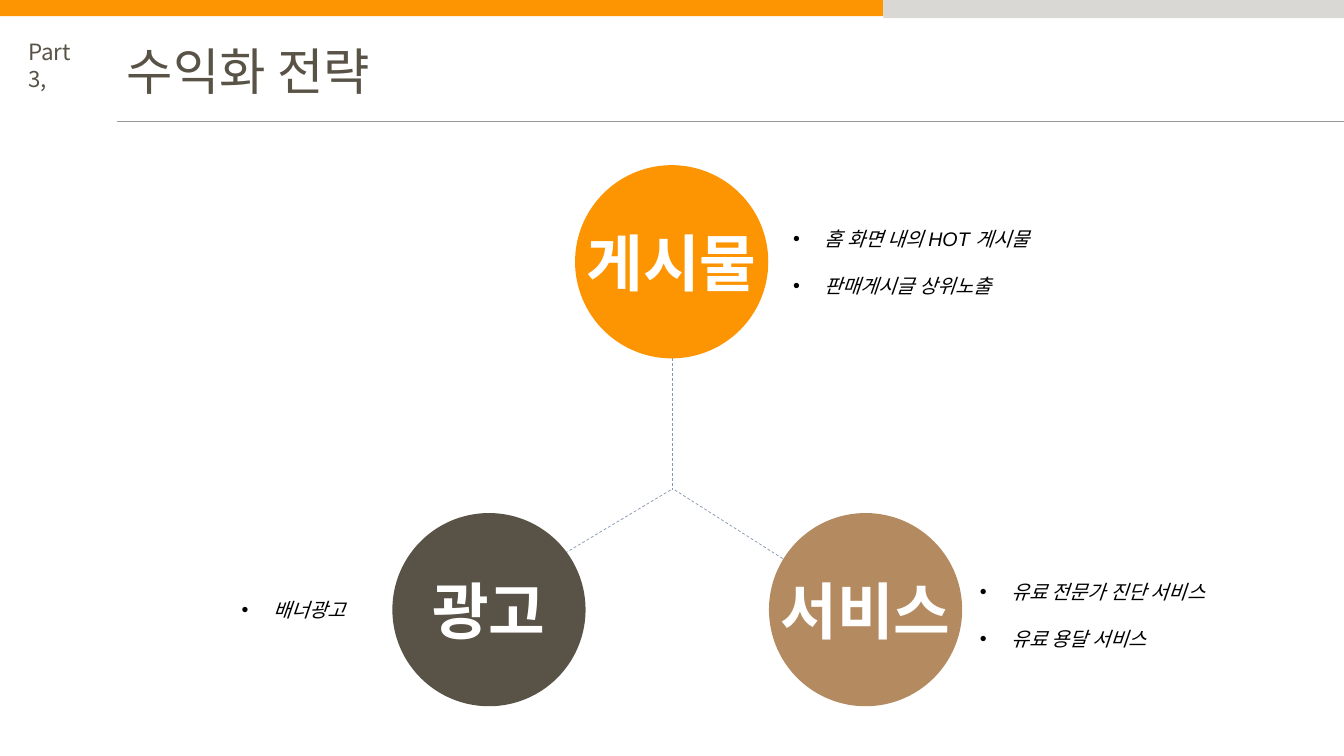
from dataclasses import dataclass
from typing import Any

from lxml import etree
from pptx import Presentation
from pptx.dml.color import RGBColor
from pptx.enum import dml, shapes, text
from pptx.oxml import ns
from pptx.util import Pt

ORANGE, BROWN, TAN = "FD9401", "595347", "B48B61"
LIGHT_GRAY, RULE_GRAY, BLUE_GRAY = "D9D8D5", "999999", "8497B0"
KOREAN_FONT = "Noto Sans CJK KR"
CIRCLE_SIZE = 138
BULLET_INDENT = 22.5


@dataclass
class Bar:
    left: float
    width: float
    height: float
    color: str


@dataclass
class Line:
    start: tuple[float, float]
    end: tuple[float, float]
    color: str
    dashed: bool = True


@dataclass
class Topic:
    name: str
    left: float
    top: float
    color: str
    bullets: list[str]
    bullets_left: float
    bullets_top: float
    bullets_height: float


BARS = [
    Bar(0, 631, 11.5, ORANGE),
    Bar(631, 137, 13, LIGHT_GRAY),
    Bar(768, 192, 13, LIGHT_GRAY),
]
LINES = [
    Line((83.5, 86.5), (960, 86.5), RULE_GRAY, dashed=False),
    Line((480, 256), (480, 350), BLUE_GRAY),
    Line((479, 350), (377, 411), BLUE_GRAY),
    Line((482, 350), (567, 404), BLUE_GRAY),
]
TOPICS = [
    Topic("광고", 280.3, 366.5, BROWN, ["배너광고"], 165.5, 423.5, 24.5),
    Topic("게시물", 410.8, 118, ORANGE,
          ["홈 화면 내의 HOT 게시물", "판매게시글 상위노출"], 559.5, 158.5, 75),
    Topic("서비스", 549.3, 366.5, TAN,
          ["유료 전문가 진단 서비스", "유료 용달 서비스"], 692.8, 411, 58.5),
]


def rgb(color: str) -> RGBColor:
    return RGBColor.from_string(color)


def set_values(target: Any, values: dict[str, Any]) -> None:
    for name, value in values.items():
        setattr(target, name, value)


def write(paragraph: Any, content: str, color: str, font: dict[str, Any]) -> None:
    """Add one run, with the Korean font for East Asian characters."""
    run = paragraph.add_run()
    run.text = content
    set_values(run.font, {"name": KOREAN_FONT, **font})
    run.font.color.rgb = rgb(color)
    east_asian = etree.SubElement(run.font._element, ns.qn("a:ea"))
    east_asian.set("typeface", KOREAN_FONT)


def add_filled(slide: Any, kind: Any, left: float, top: float,
               width: float, height: float, color: str) -> Any:
    shape = slide.shapes.add_shape(kind, Pt(left), Pt(top), Pt(width), Pt(height))
    shape.shadow.inherit = False
    shape.fill.solid()
    shape.fill.fore_color.rgb = rgb(color)
    shape.line.fill.background()
    return shape


def add_line(slide: Any, line: Line) -> None:
    connector = slide.shapes.add_connector(
        shapes.MSO_CONNECTOR.STRAIGHT, *map(Pt, line.start + line.end))
    connector.line.color.rgb = rgb(line.color)
    connector.line.width = Pt(0.5)
    if line.dashed:
        connector.line.dash_style = dml.MSO_LINE.DASH
    etree.SubElement(connector._element.spPr, ns.qn("a:effectLst"))


def add_bullet(paragraph: Any, content: str) -> None:
    paragraph.alignment = text.PP_ALIGN.JUSTIFY
    properties = paragraph._p.get_or_add_pPr()
    properties.set("marL", str(Pt(BULLET_INDENT)))
    properties.set("indent", str(-Pt(BULLET_INDENT)))
    etree.SubElement(properties, ns.qn("a:buFont")).set("typeface", "Arial")
    etree.SubElement(properties, ns.qn("a:buChar")).set("char", "•")
    write(paragraph, content, "000000",
          {"name": "Arial", "size": Pt(14), "italic": True})


def add_topic(slide: Any, topic: Topic) -> None:
    circle = add_filled(slide, shapes.MSO_SHAPE.OVAL, topic.left, topic.top,
                        CIRCLE_SIZE, CIRCLE_SIZE, topic.color)
    set_values(circle.text_frame, {
        "word_wrap": False, "vertical_anchor": text.MSO_ANCHOR.MIDDLE,
        "margin_left": 0, "margin_right": 0})
    label = circle.text_frame.paragraphs[0]
    label.alignment = text.PP_ALIGN.CENTER
    write(label, topic.name, "FFFFFF", {"size": Pt(44), "bold": True})

    box = slide.shapes.add_textbox(Pt(topic.bullets_left), Pt(topic.bullets_top),
                                   Pt(225.5), Pt(topic.bullets_height))
    frame = box.text_frame
    frame.word_wrap = True
    for index, content in enumerate(topic.bullets):
        paragraph = frame.add_paragraph() if index else frame.paragraphs[0]
        if index:
            paragraph.space_before = Pt(16.5)
        add_bullet(paragraph, content)


def add_heading(slide: Any) -> None:
    title = slide.shapes.title
    set_values(title, {"left": Pt(83.5), "top": Pt(25),
                       "width": Pt(204.5), "height": Pt(51)})
    set_values(title.text_frame, {
        "word_wrap": True, "vertical_anchor": text.MSO_ANCHOR.MIDDLE,
        "auto_size": text.MSO_AUTO_SIZE.NONE})
    paragraph = title.text_frame.paragraphs[0]
    paragraph.alignment = text.PP_ALIGN.LEFT
    write(paragraph, "수익화 전략", BROWN, {"size": Pt(36)})

    part = slide.shapes.add_textbox(Pt(13), Pt(24), Pt(57), Pt(46))
    part.text_frame.word_wrap = True
    write(part.text_frame.paragraphs[0], "Part 3,", BROWN, {"size": Pt(16)})


def main() -> None:
    presentation = Presentation()
    set_values(presentation, {"slide_width": Pt(960), "slide_height": Pt(540)})
    slide = presentation.slides.add_slide(presentation.slide_layouts[5])
    for bar in BARS:
        add_filled(slide, shapes.MSO_SHAPE.RECTANGLE, bar.left, 0,
                   bar.width, bar.height, bar.color)
    add_heading(slide)
    for line in LINES:
        add_line(slide, line)
    for topic in TOPICS:
        add_topic(slide, topic)
    presentation.save("out.pptx")


if __name__ == "__main__":
    main()
